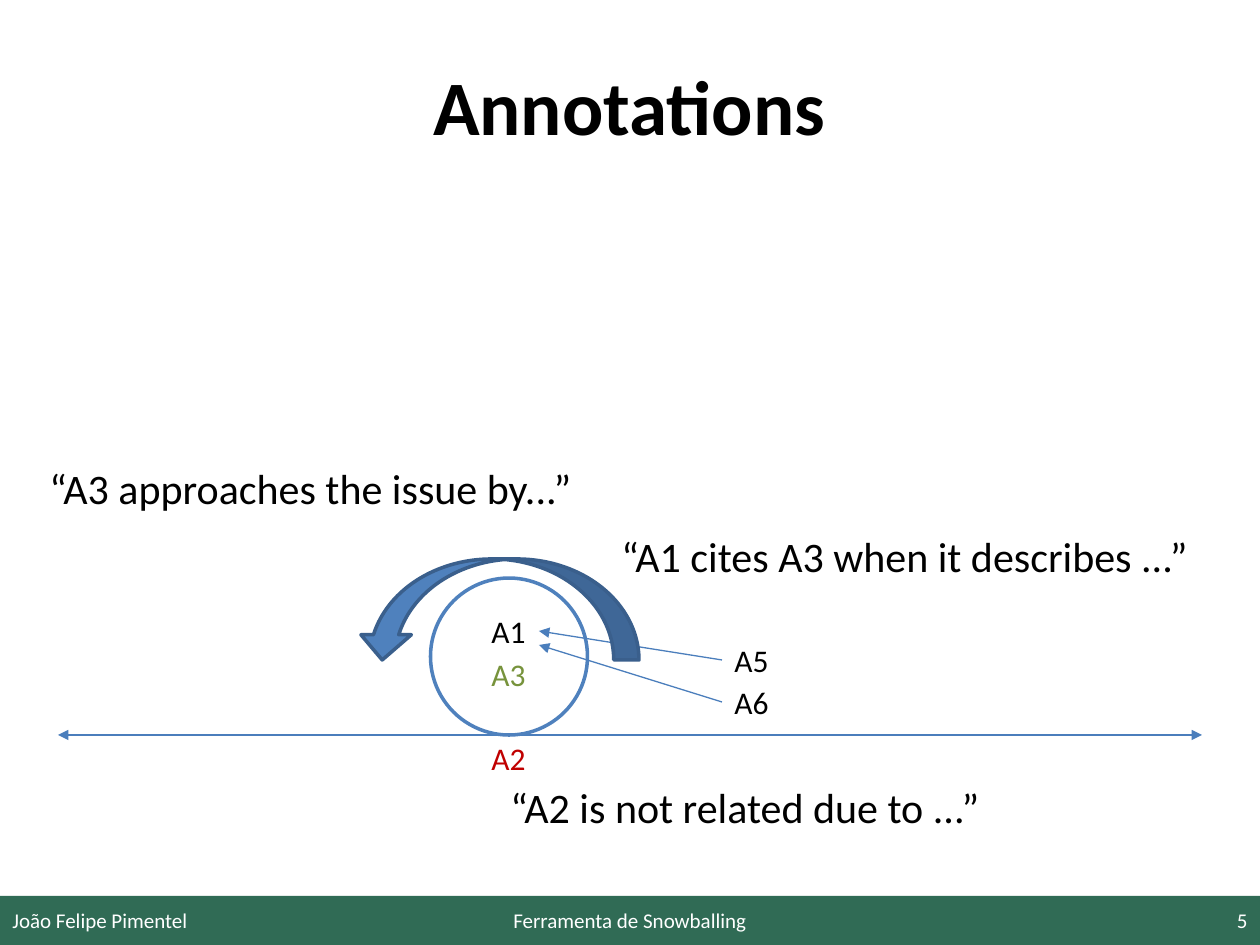
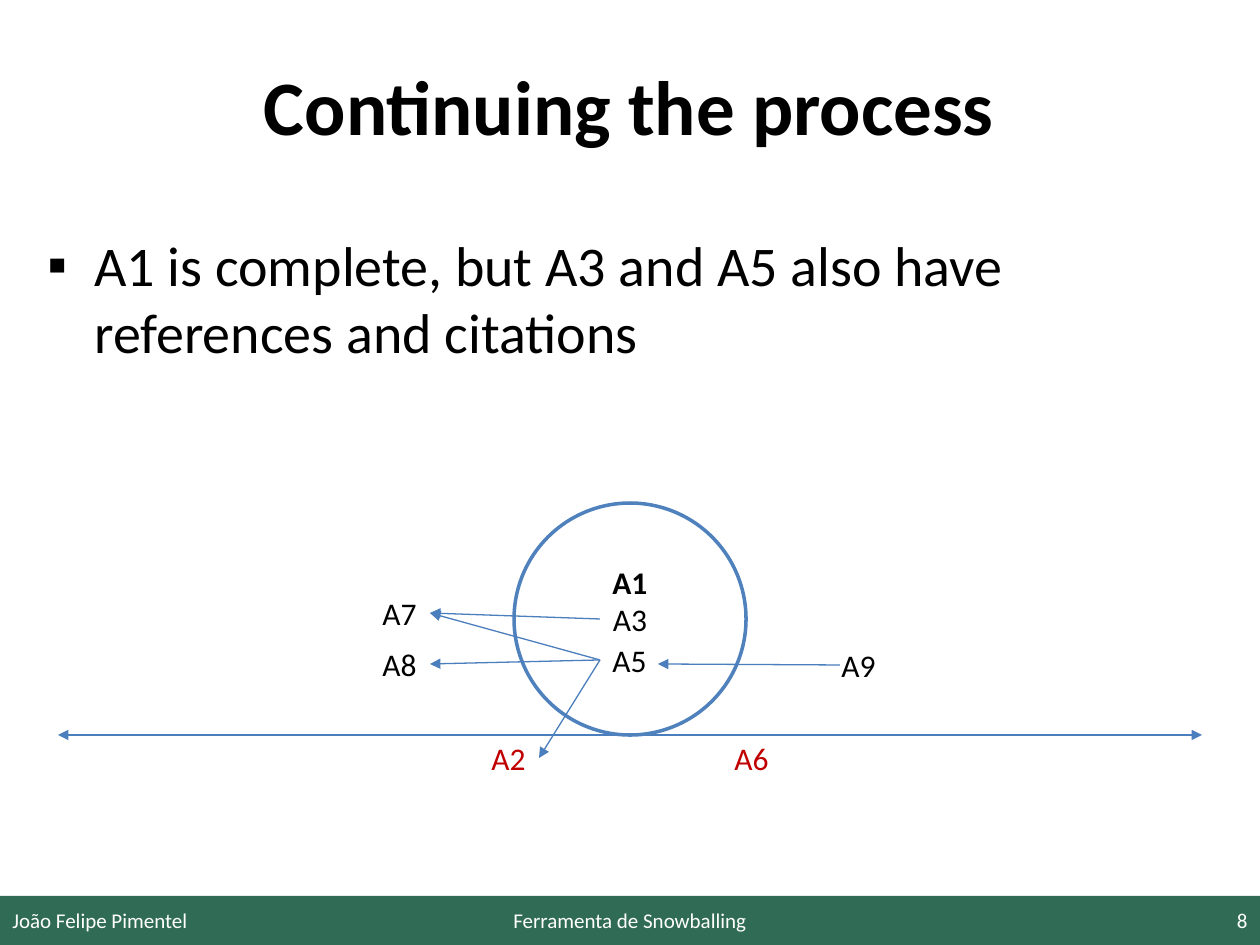
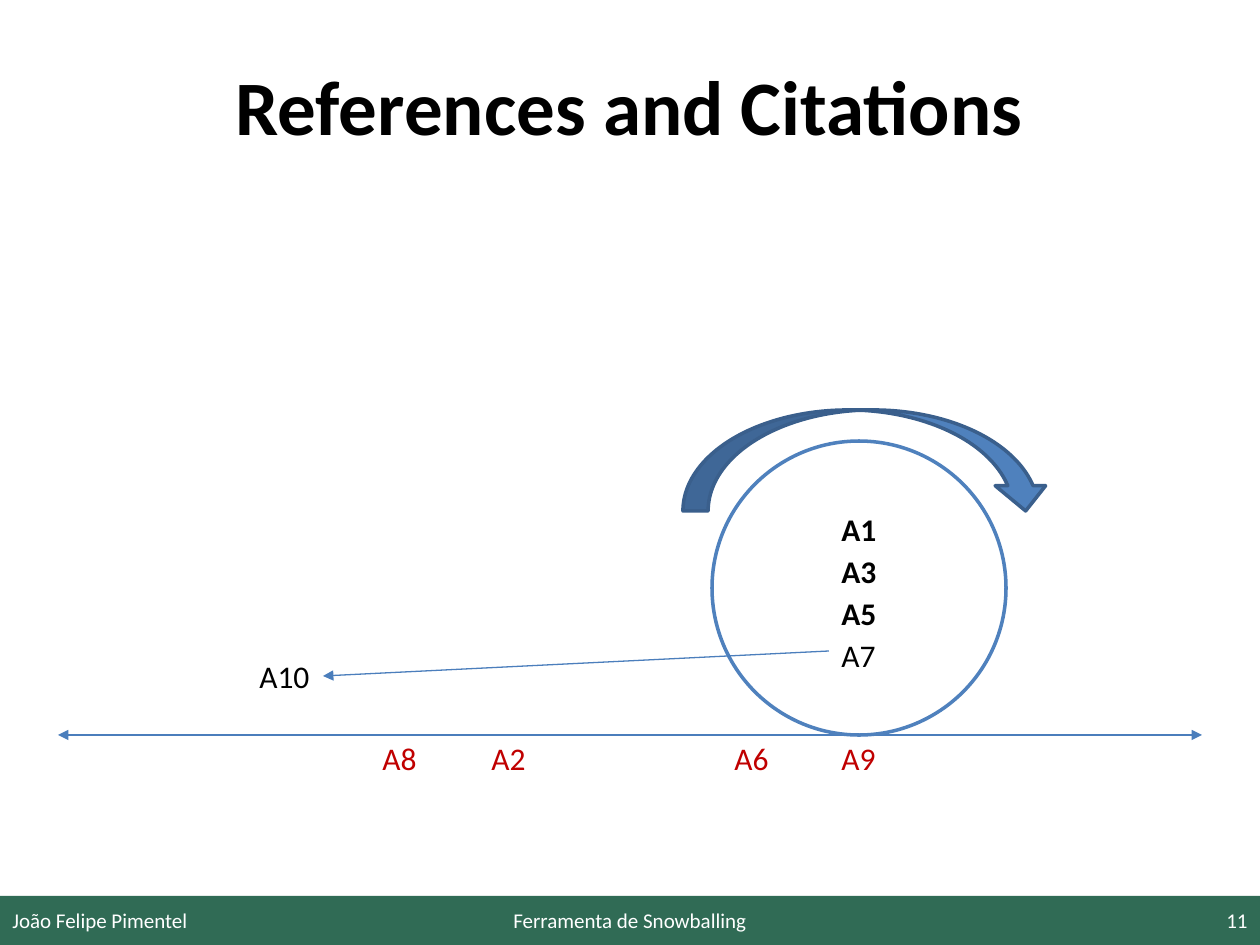
from lxml import etree
from pptx import Presentation
from pptx.dml.color import RGBColor
from pptx.enum.shapes import MSO_CONNECTOR, MSO_SHAPE
from pptx.enum.text import MSO_ANCHOR, MSO_AUTO_SIZE, PP_ALIGN
from pptx.oxml.ns import qn
from pptx.util import Emu, Pt

STRAIGHT = MSO_CONNECTOR.STRAIGHT
RECT, OVAL, CURVE = MSO_SHAPE.RECTANGLE, MSO_SHAPE.OVAL, MSO_SHAPE.CURVED_DOWN_ARROW
TOP, MIDDLE = MSO_ANCHOR.TOP, MSO_ANCHOR.MIDDLE
LEFT, CENTER, RIGHT = PP_ALIGN.LEFT, PP_ALIGN.CENTER, PP_ALIGN.RIGHT
GROW = MSO_AUTO_SIZE.SHAPE_TO_FIT_TEXT

FONT = "Calibri"
COLORS = {
    "ink": "000000", "paper": "FFFFFF", "band": "306B55", "line": "4B7EBC",
    "ring": "4F81BD", "edge": "3A5F8C", "green": "77933C", "red": "C00000",
}
WIDE, HIGH = 1260, 945
AXIS = 735          # height of the time line
BELOW = AXIS - 2    # top of the labels under it
LABEL = 50          # height of a label
COLS = {"A10": 247, "A7": 370, "A2": 479, "mid": 600, "A5": 722, "A9": 829}

AUTHOR, TALK = "João Felipe Pimentel", "Ferramenta de Snowballing"

# labels: name, left, top, format; links run from a label's left side
# to a label's right side, or between free points
SLIDES = [
    {
        "title": "Annotations", "page": "5",
        "ring": (509, 157, ""),
        "labels": [
            ("A1", COLS["A2"], 606, {}),
            ("A3", COLS["A2"], 649, {"color": "green"}),
            ("A2", COLS["A2"], BELOW, {"color": "red"}),
            ("A5", COLS["A5"], 635, {}),
            ("A6", COLS["A5"], 677, {}),
        ],
        "links": [("A5", "A1"), ("A6", (539, 645))],
        "arrow": (357, 559, 282, 101, True),
        "quotes": [
            ("“A2 is not related due to ...”", 498, 775, 498),
            ("“A3 approaches the issue by...”", 37, 456, 552),
            ("“A1 cites A3 when it describes ...”", 609, 524, 596),
        ],
    },
    {
        "title": "Continuing the process", "page": "8",
        "body": "A1 is complete, but A3 and A5 also have references and citations",
        "ring": (630, 232, "A3"),
        "labels": [
            ("A1", COLS["mid"], 557, {"bold": True}),
            ("A5", COLS["mid"], 635, {}),
            ("A7", COLS["A7"], 588, {}),
            ("A8", COLS["A7"], 639, {}),
            ("A9", COLS["A9"], 640, {}),
            ("A2", COLS["A2"], BELOW, {"color": "red"}),
            ("A6", COLS["A5"], BELOW, {"color": "red"}),
        ],
        "links": [("A5", "A2"), ((600, 619), "A7"), ("A5", "A8"), ("A5", "A7"),
                  ((840, 665), (658, 664))],
    },
    {
        "title": "References and Citations", "page": "11",
        "ring": (859, 294, ""),
        "labels": [
            *[(name, COLS["A9"], 504 + 42 * i, {"bold": name != "A7"})
              for i, name in enumerate(("A1", "A3", "A5", "A7"))],
            ("A10", COLS["A10"], 651, {}),
            *[(name, COLS[col], BELOW, {"color": "red"})
              for name, col in (("A8", "A7"), ("A2", "A2"), ("A6", "A5"), ("A9", "A9"))],
        ],
        "links": [((829, 651), "A10")],
        "arrow": (683, 410, 368, 101, False),
    },
]


def px(n):
    return Emu(round(n * 914400 / 126))


def rgb(name):
    return RGBColor.from_string(COLORS[name])


def write(shape, text, size=18, color="ink", bold=False, align=LEFT,
          anchor=TOP, wrap=True, bullet=None):
    frame = shape.text_frame
    frame.word_wrap = wrap
    frame.vertical_anchor = anchor
    if not wrap:
        frame.auto_size = GROW
    para = frame.paragraphs[0]
    para.text = text
    para.alignment = align
    if bullet:
        props = para._p.get_or_add_pPr()
        props.set("marL", str(px(47)))
        props.set("indent", str(-px(47)))
        etree.SubElement(props, qn("a:buFont")).set("typeface", "Arial")
        etree.SubElement(props, qn("a:buChar")).set("char", bullet)
    font = para.runs[0].font
    font.name, font.size, font.bold = FONT, Pt(size), bold
    font.color.rgb = rgb(color)


def put(slide, text, box, **form):
    shape = slide.shapes.add_textbox(*map(px, box))
    write(shape, text, **form)
    return shape


def draw(slide, kind, box, fill, edge=None):
    shape = slide.shapes.add_shape(kind, *map(px, box))
    shape.shadow.inherit = False
    shape.fill.solid()
    shape.fill.fore_color.rgb = rgb(fill)
    if edge:
        shape.line.color.rgb = rgb(edge)
        shape.line.width = Pt(2)
    else:
        shape.line.fill.background()
    return shape


def link(slide, start, end, labels, heads=("tailEnd",)):
    """Draw an arrow; an end given as a name is joined to that label."""
    points = [(0, 0) if isinstance(p, str) else p for p in (start, end)]
    line = slide.shapes.add_connector(STRAIGHT, *(px(n) for p in points for n in p))
    if isinstance(start, str):
        line.begin_connect(labels[start], 1)
    if isinstance(end, str):
        line.end_connect(labels[end], 3)
    line.line.color.rgb = rgb("line")
    line.line.width = Pt(0.75)
    for head in heads:
        etree.SubElement(line.line._get_or_add_ln(), qn("a:" + head)).set("type", "triangle")
    etree.SubElement(line._element.spPr, qn("a:effectLst"))


def frame(slide, title, page):
    """Add the title, the band with its footers, and the time line."""
    draw(slide, RECT, (0, 896, WIDE, HIGH - 896), "band")
    put(slide, title, (126, 26, 1007, 158), size=44, bold=True,
        align=CENTER, anchor=MIDDLE)
    for text, left, width, align in ((AUTHOR, 0, 294, LEFT), (TALK, 430, 400, CENTER),
                                     (page, WIDE - 294, 294, RIGHT)):
        put(slide, text, (left, 895, width, 50), size=12, color="paper",
            align=align, anchor=MIDDLE)
    link(slide, (58, AXIS), (WIDE - 58, AXIS), {}, ("headEnd", "tailEnd"))


def build(slide, data):
    frame(slide, data["title"], data["page"])
    if "body" in data:
        put(slide, data["body"], (35, 224, 1191, 635), size=32, bullet="▪")
    mid, size, text = data["ring"]
    ring = draw(slide, OVAL, (mid - size / 2, AXIS - size, size, size), "paper", "ring")
    if text:
        write(ring, text, align=CENTER, anchor=MIDDLE)
    labels = {}
    for name, left, top, form in data["labels"]:
        width = 60 if len(name) == 2 else 76
        labels[name] = put(slide, name, (left, top, width, LABEL), wrap=False, **form)
    for start, end in data["links"]:
        link(slide, start, end, labels)
    if "arrow" in data:
        *box, flip = data["arrow"]
        arrow = draw(slide, CURVE, box, "ring", "edge")
        if flip:
            arrow._element.spPr.find(qn("a:xfrm")).set("flipH", "1")
    for text, left, top, width in data.get("quotes", []):
        put(slide, text, (left, top, width, 63), size=24, wrap=False)


def main():
    deck = Presentation()
    deck.slide_width, deck.slide_height = px(WIDE), px(HIGH)
    for data in SLIDES:
        build(deck.slides.add_slide(deck.slide_layouts[6]), data)
    deck.save("out.pptx")


if __name__ == "__main__":
    main()
